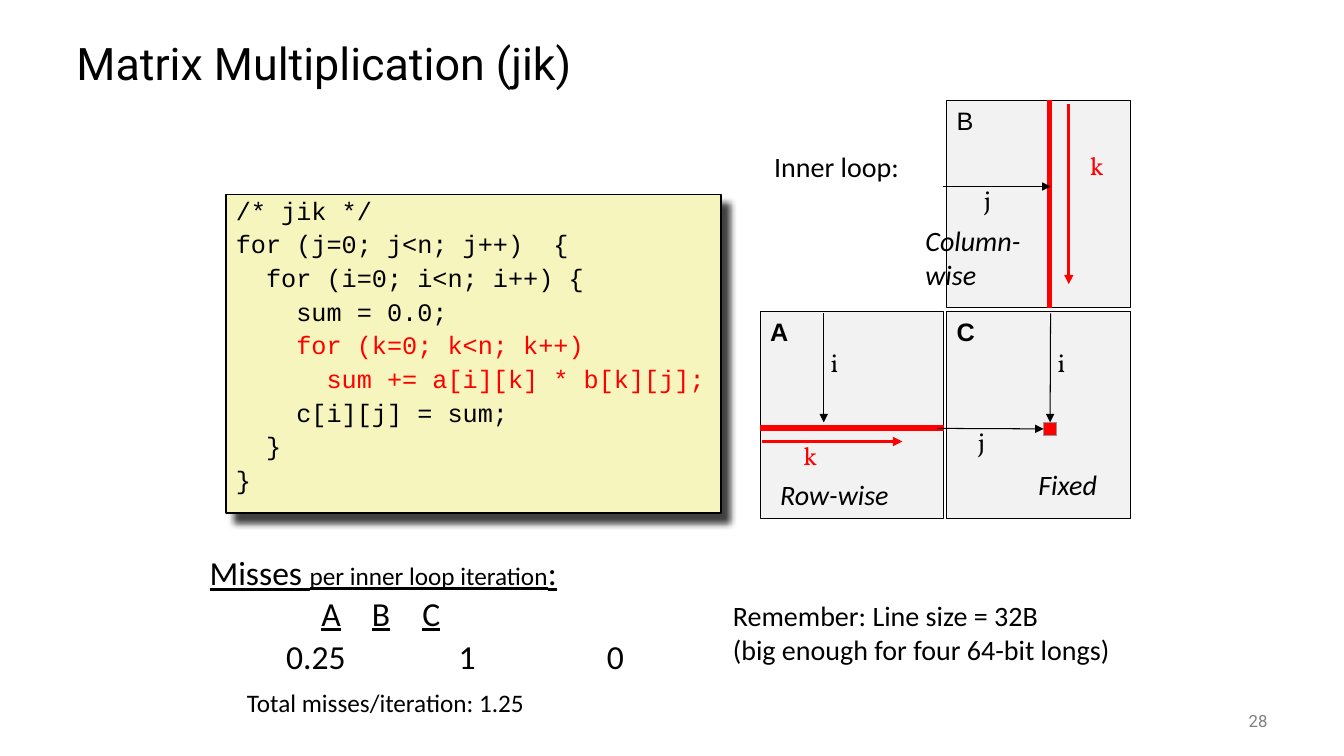
from dataclasses import dataclass

from lxml.etree import SubElement
from pptx import Presentation
from pptx.dml.color import RGBColor
from pptx.enum.shapes import MSO_CONNECTOR, MSO_SHAPE
from pptx.enum.text import MSO_ANCHOR, PP_ALIGN
from pptx.oxml.ns import qn
from pptx.util import Inches, Pt


@dataclass(frozen=True)
class Theme:
    black: str = "000000"
    red: str = "FF0000"
    grey: str = "808080"
    edge: str = "969696"
    code_fill: str = "F6F5BD"
    matrix_fill: str = "F2F2F2"
    heading: str = "Roboto"
    body: str = "Calibri"
    code: str = "Courier New"
    matrix: str = "Arial"
    index: str = "Vollkorn"
    title_size: int = 32
    large: int = 24
    medium: int = 20
    small: int = 18
    tiny: int = 12


class SlideBuilder:
    def __init__(self, slide, theme):
        self.s = slide
        self.t = theme

    def run(self, p, text, size, font=None, color=None, bold=False, italic=False, underline=False):
        r = p.add_run()
        r.text = text
        f = r.font
        f.size, f.name = Pt(size), font or self.t.body
        f.bold, f.italic, f.underline = bold, italic, underline
        f.color.rgb = RGBColor.from_string(color or self.t.black)

    def text(self, x, y, w, h, lines=(), size=20, wrap=True, anchor=MSO_ANCHOR.TOP,
             align=PP_ALIGN.LEFT, **style):
        """Add a text box with one paragraph per line and return its text frame."""
        tf = self.s.shapes.add_textbox(Inches(x), Inches(y), Inches(w), Inches(h)).text_frame
        tf.word_wrap = wrap
        tf.vertical_anchor = anchor
        for i, line in enumerate(lines):
            p = tf.add_paragraph() if i else tf.paragraphs[0]
            p.alignment = align
            self.run(p, line, size, **style)
        return tf

    def rect(self, x, y, w, h, fill, line, width=0.75):
        sp = self.s.shapes.add_shape(MSO_SHAPE.RECTANGLE, Inches(x), Inches(y), Inches(w), Inches(h))
        sp.shadow.inherit = False
        sp.fill.solid()
        sp.fill.fore_color.rgb = RGBColor.from_string(fill)
        sp.line.color.rgb = RGBColor.from_string(line)
        sp.line.width = Pt(width)
        tf = sp.text_frame
        tf.word_wrap = True
        tf.vertical_anchor = MSO_ANCHOR.TOP
        tf.paragraphs[0].alignment = PP_ALIGN.LEFT
        return sp

    def matrix(self, x, y, name, bold=True):
        sp = self.rect(x, y, 1.82, 2.05, self.t.matrix_fill, self.t.black)
        self.run(sp.text_frame.paragraphs[0], name, self.t.small, self.t.matrix, bold=bold)

    def code(self, x, y, w, h, lines):
        """Add a code box; each line is a list of (text, color) pairs."""
        sp = self.rect(x, y, w, h, self.t.code_fill, self.t.black, 1)
        self.drop_shadow(sp)
        tf = sp.text_frame
        tf.margin_top = Inches(0.1)
        for i, line in enumerate(lines):
            p = tf.add_paragraph() if i else tf.paragraphs[0]
            p.alignment = PP_ALIGN.LEFT
            p.line_spacing = 0.65
            p.space_before = Pt(10 if i else 0)
            for text, color in line:
                self.run(p, text, self.t.small, self.t.code, color)

    def drop_shadow(self, sp):
        effects = sp._element.spPr.find(qn("a:effectLst"))
        shadow = SubElement(effects, qn("a:outerShdw"), blurRad=str(Pt(5)), dist=str(Pt(8.5)),
                            dir=str(45 * 60000), algn="tl", rotWithShape="0")
        color = SubElement(shadow, qn("a:srgbClr"), val=self.t.black)
        SubElement(color, qn("a:alpha"), val="75000")

    def arrow(self, x1, y1, x2, y2, color=None, width=0.75):
        c = self.s.shapes.add_connector(MSO_CONNECTOR.STRAIGHT, Inches(x1), Inches(y1),
                                        Inches(x2), Inches(y2))
        c.line.color.rgb = RGBColor.from_string(color or self.t.black)
        c.line.width = Pt(width)
        SubElement(c.line._get_or_add_ln(), qn("a:tailEnd"), type="triangle")
        SubElement(c._element.spPr, qn("a:effectLst"))
        return c

    def index(self, x, y, letter, color=None):
        self.text(x, y, 0.38, 0.41, [letter], self.t.small, font=self.t.index, color=color)

    def tabbed(self, p, indent, level=0):
        """Give a paragraph a hanging indent and the centred stops of the misses columns."""
        p.level = level
        pPr = p._p.get_or_add_pPr()
        pPr.set("marL", str(Inches(indent)))
        pPr.set("indent", str(Inches(-0.24)))
        tabs = SubElement(pPr, qn("a:tabLst"))
        for stop in (1.06, 2.56, 4):
            SubElement(tabs, qn("a:tab"), pos=str(Inches(stop)), algn="ctr")


def add_code(b):
    black, red = b.t.black, b.t.red
    b.code(2.24, 1.93, 4.91, 3.16, [
        [("/* jik */", black)],
        [("for (j=0; j<n; j++)  {", black)],
        [("  for (i=0; i<n; i++) {", black)],
        [("    sum = 0.0;", black)],
        [("    for (k=0; k<n; k++)", red)],
        [("      ", black), ("sum += a[i][k] * b[k][j];", red)],
        [("    c[i][j] = sum;", black)],
        [("  }", black)],
        [("}", black)],
    ])


def add_matrices(b):
    t = b.t
    left, right, top, bottom = 7.54, 9.39, 1, 3.09
    b.text(7.58, 1.43, 1.45, 0.43, ["Inner loop:"], t.medium, wrap=False)
    b.matrix(left, bottom, "A")
    b.matrix(right, top, "B", bold=False)
    b.matrix(right, bottom, "C")
    b.rect(10.39, top, 0.04, 2.05, t.red, t.red)
    b.rect(left, 4.22, 1.82, 0.05, t.red, t.red)
    element = b.rect(10.35, 4.19, 0.13, 0.13, t.red, t.edge)

    b.arrow(8.17, 3.11, 8.17, 4.19)
    b.arrow(9.35, 1.85, 10.42, 1.85)
    b.arrow(10.42, 3.11, 10.42, 4.19).end_connect(element, 0)
    b.arrow(9.3, 4.25, 10.35, 4.25).end_connect(element, 1)
    b.arrow(7.56, 4.38, 8.95, 4.38, t.red, 2.25)
    b.arrow(10.6, 1.03, 10.6, 2.82, t.red, 2.25)

    for x, y, letter in ((8.14, 3.4, "i"), (10.39, 3.4, "i"), (9.66, 1.78, "j"), (9.6, 4.18, "j")):
        b.index(x, y, letter)
    for x, y in ((7.87, 4.32), (10.71, 1.44)):
        b.index(x, y, "k", t.red)

    b.text(7.64, 4.69, 1.28, 0.43, ["Row-wise"], t.medium, wrap=False, italic=True)
    b.text(9.08, 2.17, 1.22, 0.77, ["Column-", "wise"], t.medium, italic=True)
    b.text(10.2, 4.59, 0.79, 0.43, ["Fixed"], t.medium, wrap=False, italic=True)


def add_misses(b):
    t = b.t
    tf = b.text(1.98, 5.43, 5.55, 1)
    p = tf.paragraphs[0]
    b.tabbed(p, 0.24)
    for text, size in (("Misses ", t.large), ("per inner loop iteration", t.small), (":", t.large)):
        b.run(p, text, size, underline=True)
    p = tf.add_paragraph()
    b.tabbed(p, 0.61, level=1)
    for tabs, name in (("\t\t", "A"), ("\t", "B"), ("\t", "C")):
        b.run(p, tabs, t.large)
        b.run(p, name, t.large, underline=True)

    for x, w, value in ((2.74, 0.8, "0.25"), (4.45, 0.37, "1"), (5.92, 0.37, "0")):
        b.text(x, 6.26, w, 0.5, [value], t.large, wrap=False)

    p = b.text(1.98, 6.77, 3.35, 0.4, wrap=False).paragraphs[0]
    b.tabbed(p, 0.61, level=1)
    b.run(p, "Total misses/iteration: 1.25", t.small)
    b.text(7.17, 5.89, 4.17, 0.77,
           ["Remember: Line size = 32B", "(big enough for four 64-bit longs)"], t.medium)


def main():
    prs = Presentation()
    prs.slide_width, prs.slide_height = Inches(13.33), Inches(7.5)
    t = Theme()
    b = SlideBuilder(prs.slides.add_slide(prs.slide_layouts[6]), t)
    b.text(0.66, 0.25, 12, 0.75, ["Matrix Multiplication (jik)"], t.title_size,
           anchor=MSO_ANCHOR.MIDDLE, font=t.heading)
    add_code(b)
    add_matrices(b)
    add_misses(b)
    b.text(11.67, 6.95, 1, 0.4, ["28"], t.tiny, anchor=MSO_ANCHOR.MIDDLE,
           align=PP_ALIGN.RIGHT, font=t.heading, color=t.grey)
    prs.save("out.pptx")


if __name__ == "__main__":
    main()
